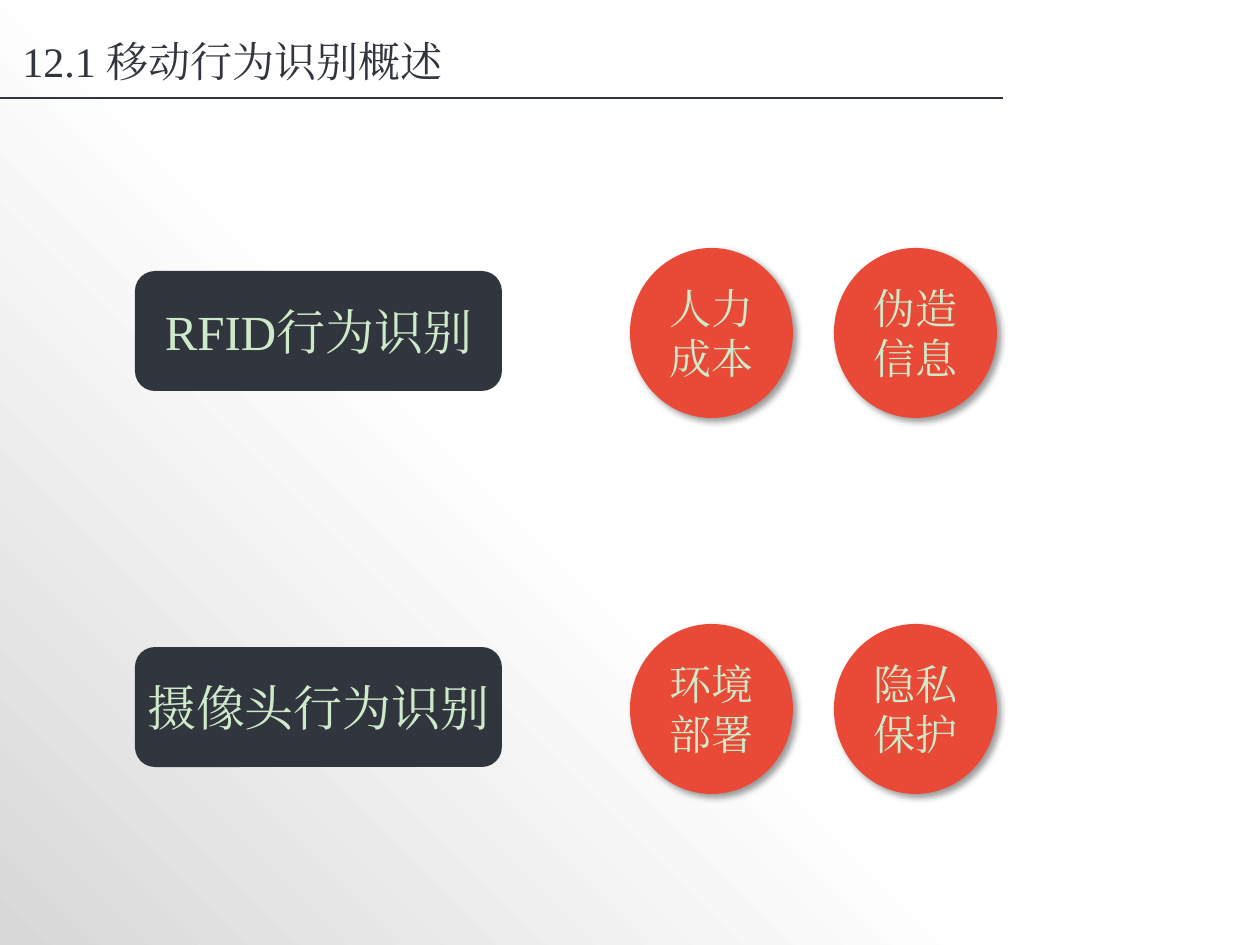
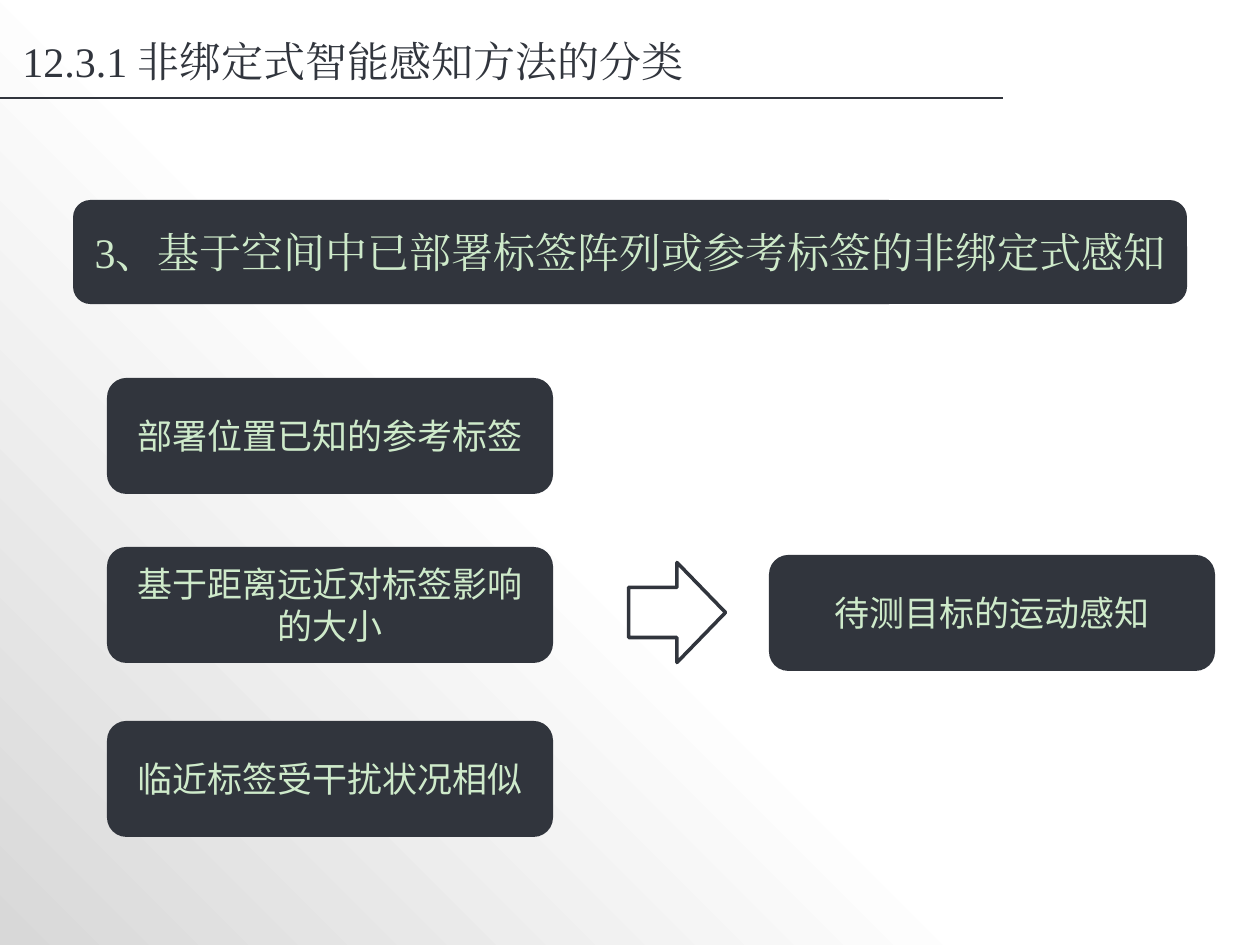
from copy import deepcopy
from dataclasses import dataclass
from lxml import etree
from pptx import Presentation
from pptx import util as u
from pptx.dml.color import RGBColor
from pptx.enum import shapes, text
from pptx.oxml.ns import qn

SCALE = u.Inches(1) / 126
KIND = shapes.MSO_SHAPE


@dataclass(frozen=True)
class Theme:
    ink: str = "31353D"
    mint: str = "CEEACA"
    red: str = "E84A37"
    grey: str = "D8D8D8"
    white: str = "FFFFFF"
    black: str = "000000"
    serif: str = "Times New Roman"
    sans: str = "Noto Sans CJK SC"
    label: int = 28
    title: int = 24
    body: int = 20


THEME = Theme()


def px(*lengths):
    return [round(length * SCALE) for length in lengths]


def color(value):
    return RGBColor.from_string(value)


def write(shape, words, size=THEME.title, font=THEME.serif, ink=THEME.mint,
          align=text.PP_ALIGN.CENTER, side_inset=None):
    frame = shape.text_frame
    frame.word_wrap = True
    frame.vertical_anchor = text.MSO_ANCHOR.MIDDLE
    if side_inset is not None:
        frame.margin_left = frame.margin_right = side_inset
    para = frame.paragraphs[0]
    para.alignment = align
    span = para.add_run()
    span.text = words
    span.font.size = u.Pt(size)
    span.font.name = font
    span.font.color.rgb = color(ink)
    east_asian = etree.SubElement(span.font._element, qn("a:ea"))
    east_asian.set("typeface", font)


def add_box(page, kind, box, words, fill=THEME.ink, **text_format):
    shape = page.shapes.add_shape(kind, *px(*box))
    shape.shadow.inherit = False
    shape.fill.solid()
    shape.fill.fore_color.rgb = color(fill)
    shape.line.fill.background()
    write(shape, words, **text_format)
    return shape


def add_shadow(shape):
    effects = shape._element.spPr.find(qn("a:effectLst"))
    shadow = etree.SubElement(
        effects, qn("a:outerShdw"), blurRad=str(u.Pt(4)), dist=str(u.Pt(3)),
        dir=str(45 * 60000), algn="tl", rotWithShape="0")
    tint = etree.SubElement(shadow, qn("a:srgbClr"), val=THEME.black)
    etree.SubElement(tint, qn("a:alpha"), val="40000")


def set_background(deck):
    fill = deck.slide_master.background.fill
    fill.gradient()
    fill.gradient_angle = 45
    start, fade = fill.gradient_stops
    start.color.rgb, start.position = color(THEME.grey), 0
    fade.color.rgb, fade.position = color(THEME.white), 0.45
    last = deepcopy(fade._gs)
    last.set("pos", "100000")
    fade._gs.addnext(last)


def add_page(deck, title):
    page = deck.slides.add_slide(deck.slide_layouts[6])
    heading = page.shapes.add_textbox(*px(10, 24, 794, 74))
    write(heading, title, ink=THEME.ink, align=text.PP_ALIGN.LEFT)
    rule = page.shapes.add_connector(shapes.MSO_CONNECTOR.STRAIGHT,
                                     *px(0, 98, 1003, 98))
    rule.line.color.rgb = color(THEME.ink)
    rule.line.width = u.Pt(1.5)
    etree.SubElement(rule._element.spPr, qn("a:effectLst"))
    return page


def add_method_row(page, left, top, method, drawbacks, side_inset=None):
    add_box(page, KIND.FLOWCHART_ALTERNATE_PROCESS, (left, top + 23, 367, 120),
            method, size=THEME.label, side_inset=side_inset)
    for index, drawback in enumerate(drawbacks):
        circle = add_box(page, KIND.OVAL,
                         (left + 495 + index * 204, top, 163, 170),
                         drawback, fill=THEME.red)
        add_shadow(circle)


def add_card(page, left, top, words):
    add_box(page, KIND.ROUNDED_RECTANGLE, (left, top, 446, 116), words,
            size=THEME.body, font=THEME.sans)


def add_arrow(page, left, top):
    arrow = page.shapes.add_shape(KIND.DOWN_ARROW, *px(left, top, 100, 97))
    arrow.rotation = 270
    arrow.shadow.inherit = False
    arrow.fill.background()
    arrow.line.color.rgb = color(THEME.ink)
    arrow.line.width = u.Pt(2)


def add_inference(page, left, top, premises, conclusion):
    for offset, premise in zip((0, 169, 343), premises):
        add_card(page, left, top + offset, premise)
    add_arrow(page, left + 520, top + 186)
    add_card(page, left + 662, top + 177, conclusion)


def add_overview(deck):
    page = add_page(deck, "12.1 移动行为识别概述")
    add_method_row(page, 135, 248, "RFID行为识别", ("人力成本", "伪造信息"))
    add_method_row(page, 135, 624, "摄像头行为识别", ("环境部署", "隐私保护"),
                   side_inset=0)


def add_classification(deck):
    page = add_page(deck, "12.3.1 非绑定式智能感知方法的分类")
    add_box(page, KIND.FLOWCHART_ALTERNATE_PROCESS, (73, 200, 1114, 104),
            "3、基于空间中已部署标签阵列或参考标签的非绑定式感知")
    add_inference(page, 107, 378,
                  ("部署位置已知的参考标签", "基于距离远近对标签影响的大小",
                   "临近标签受干扰状况相似"),
                  "待测目标的运动感知")


def main():
    deck = Presentation()
    deck.slide_width, deck.slide_height = px(1260, 945)
    set_background(deck)
    add_overview(deck)
    add_classification(deck)
    deck.save("out.pptx")


if __name__ == "__main__":
    main()
